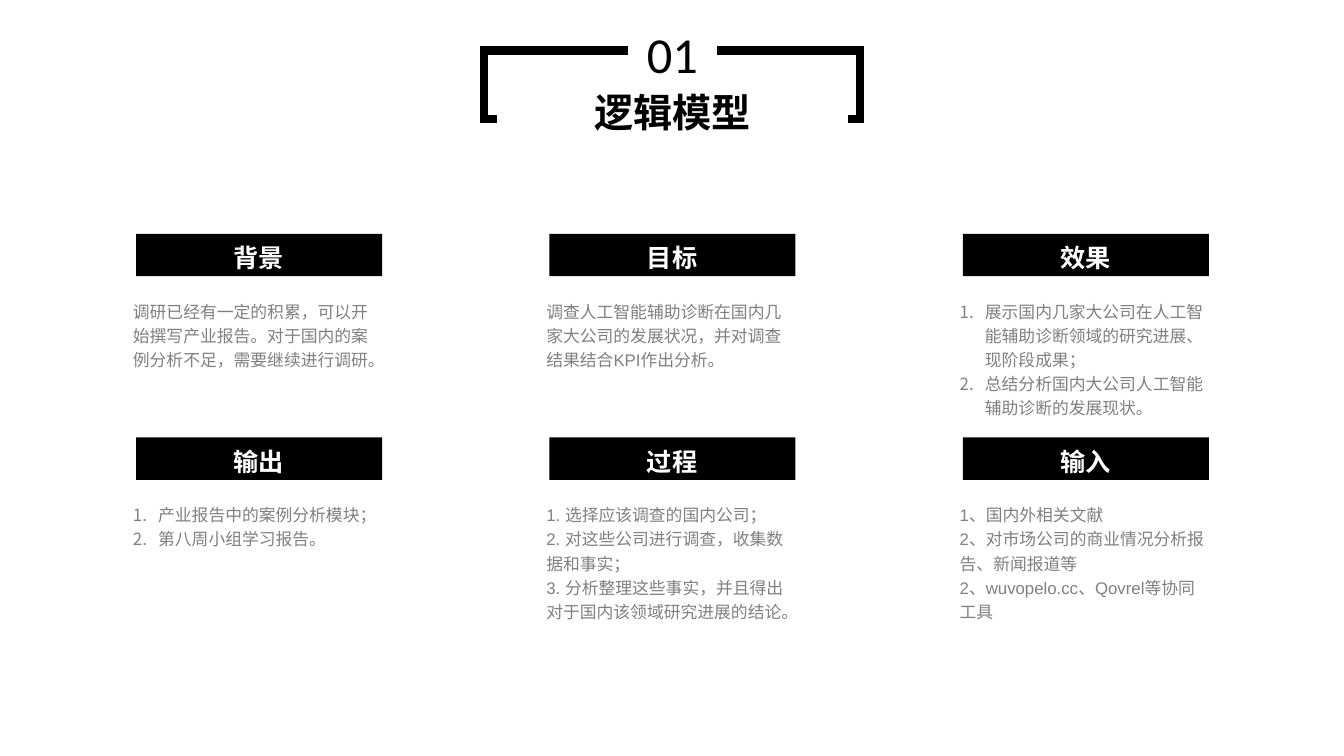
from lxml import etree
from pptx import Presentation
from pptx.dml.color import RGBColor
from pptx.enum.shapes import MSO_SHAPE
from pptx.enum.text import MSO_ANCHOR, MSO_AUTO_SIZE, PP_ALIGN
from pptx.oxml.ns import qn
from pptx.util import Inches, Pt

RECT = MSO_SHAPE.RECTANGLE
TOP = MSO_ANCHOR.TOP
GROW = MSO_AUTO_SIZE.SHAPE_TO_FIT_TEXT
LEFT, CENTER = PP_ALIGN.LEFT, PP_ALIGN.CENTER

NUMBER, TITLE = "01", "逻辑模型"
CARDS = [
    ("背景", 3, False, ["调研已经有一定的积累，可以开始撰写产业报告。对于国内的案例分析不足，需要继续进行调研。"]),
    ("目标", 3, False, ["调查人工智能辅助诊断在国内几家大公司的发展状况，并对调查结果结合KPI作出分析。"]),
    ("效果", 5, True, ["展示国内几家大公司在人工智能辅助诊断领域的研究进展、现阶段成果；",
                     "总结分析国内大公司人工智能辅助诊断的发展现状。"]),
    ("输出", 2, True, ["产业报告中的案例分析模块；", "第八周小组学习报告。"]),
    ("过程", 5, False, ["1. 选择应该调查的国内公司；", "2. 对这些公司进行调查，收集数据和事实；",
                      "3. 分析整理这些事实，并且得出对于国内该领域研究进展的结论。"]),
    ("输入", 5, False, ["1、国内外相关文献", "2、对市场公司的商业情况分析报告、新闻报道等",
                      "2、wuvopelo.cc、Qovrel等协同工具"]),
]
COLS, X, Y, STEP_X, STEP_Y = 3, 1.34, 2.3, 4.1, 2.02

NUM = dict(name="Calibri", size=Pt(36), bold=False), "000000", CENTER, 1.0
HEAD = dict(name="Calibri", size=Pt(28), bold=True), "000000", CENTER, 1.0
LABEL = dict(name="Arial", size=Pt(18), bold=True), "FFFFFF", CENTER, 1.2
BODY = dict(name="Arial", size=Pt(12), bold=False), "808080", LEFT, 1.2


def color(form, code):
    form.rgb = RGBColor.from_string(code)


def paint(fill, code):
    fill.solid()
    color(fill.fore_color, code)


def block(slide, box, code=None):
    shape = slide.shapes.add_shape(RECT, *map(Inches, box))
    shape.shadow.inherit = False
    shape.line.fill.background()
    if code:
        paint(shape.fill, code)
    else:
        shape.fill.background()
    return shape


def number(para):
    props = para._p.get_or_add_pPr()
    props.set("marL", str(Inches(0.25)))
    props.set("indent", str(-Inches(0.25)))
    etree.SubElement(props, qn("a:buAutoNum"), type="arabicPeriod")


def write(shape, lines, style, listed=False):
    font, code, align, space = style
    frame = shape.text_frame
    for key, value in dict(word_wrap=True, vertical_anchor=TOP, auto_size=GROW).items():
        setattr(frame, key, value)
    frame.text = "\n".join(lines)
    for para in frame.paragraphs:
        for key, value in dict(alignment=align, line_spacing=space).items():
            setattr(para, key, value)
        run = para.runs[0].font
        for key, value in font.items():
            setattr(run, key, value)
        color(run.color, code)
        if listed:
            number(para)


def text(slide, box, lines, style, listed=False):
    write(slide.shapes.add_textbox(*map(Inches, box)), lines, style, listed)


def header(slide):
    frame = block(slide, (4.8, 0.5, 3.73, 0.68))
    paint(frame.line.fill, "000000")
    frame.line.width = Pt(6)
    edge = frame.element.spPr.find(qn("a:ln"))
    etree.SubElement(edge, qn("a:miter"), lim="800000")
    write(block(slide, (6.23, 0.18, 0.88, 0.71), "FFFFFF"), [NUMBER], NUM)
    title = slide.shapes.title
    for key, value in dict(left=4.93, top=0.83, width=3.48, height=0.57).items():
        setattr(title, key, Inches(value))
    paint(title.fill, "FFFFFF")
    write(title, [TITLE], HEAD)
    slide.shapes.element.append(title.element)


def card(slide, index, label, rows, listed, lines):
    row, col = divmod(index, COLS)
    x, y = X + col * STEP_X, Y + row * STEP_Y
    block(slide, (x + 0.01, y + 0.02, 2.44, 0.42), "000000")
    text(slide, (x - 0.12, y + 0.6, 2.68, 0.11 + 0.24 * rows), lines, BODY, listed)
    text(slide, (x, y, 2.45, 0.43), [label], LABEL)


def main():
    deck = Presentation()
    deck.slide_width, deck.slide_height = Inches(13.33), Inches(7.5)
    slide = deck.slides.add_slide(deck.slide_layouts[5])
    header(slide)
    for index, item in enumerate(CARDS):
        card(slide, index, *item)
    deck.save("out.pptx")


if __name__ == "__main__":
    main()
